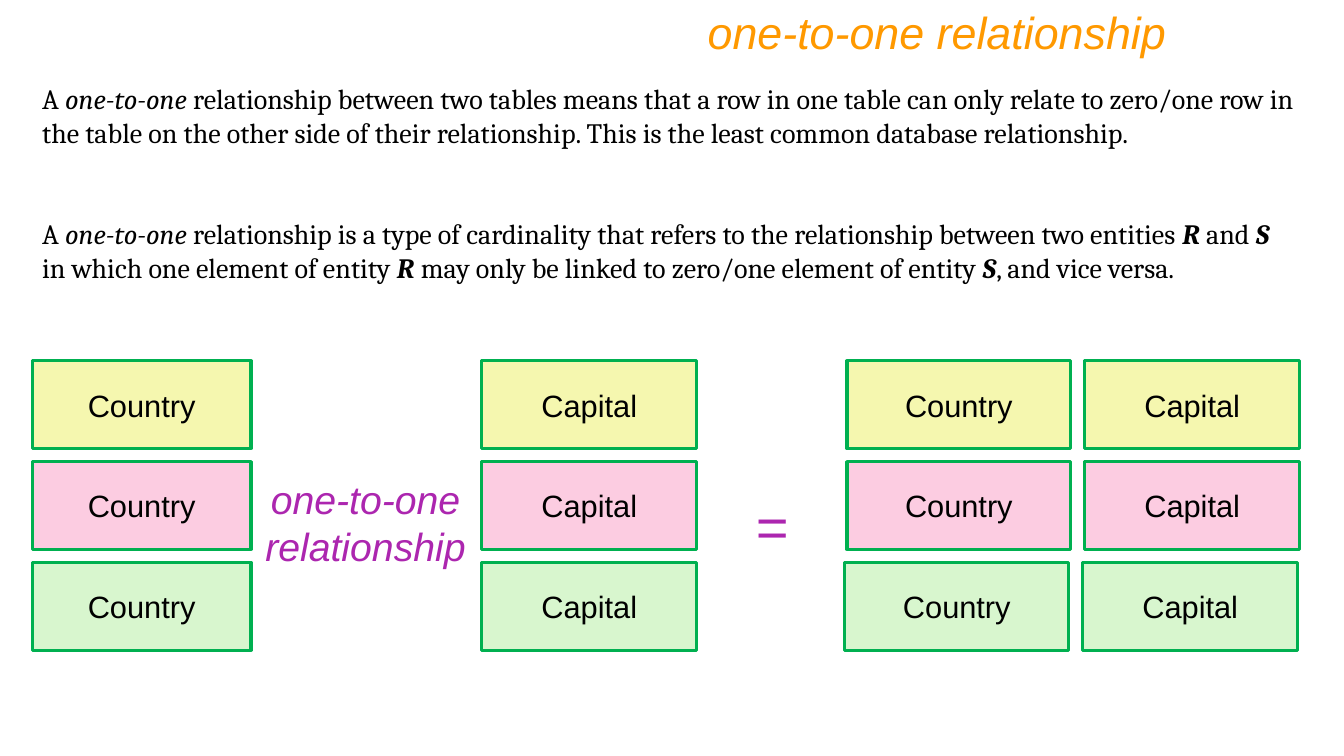
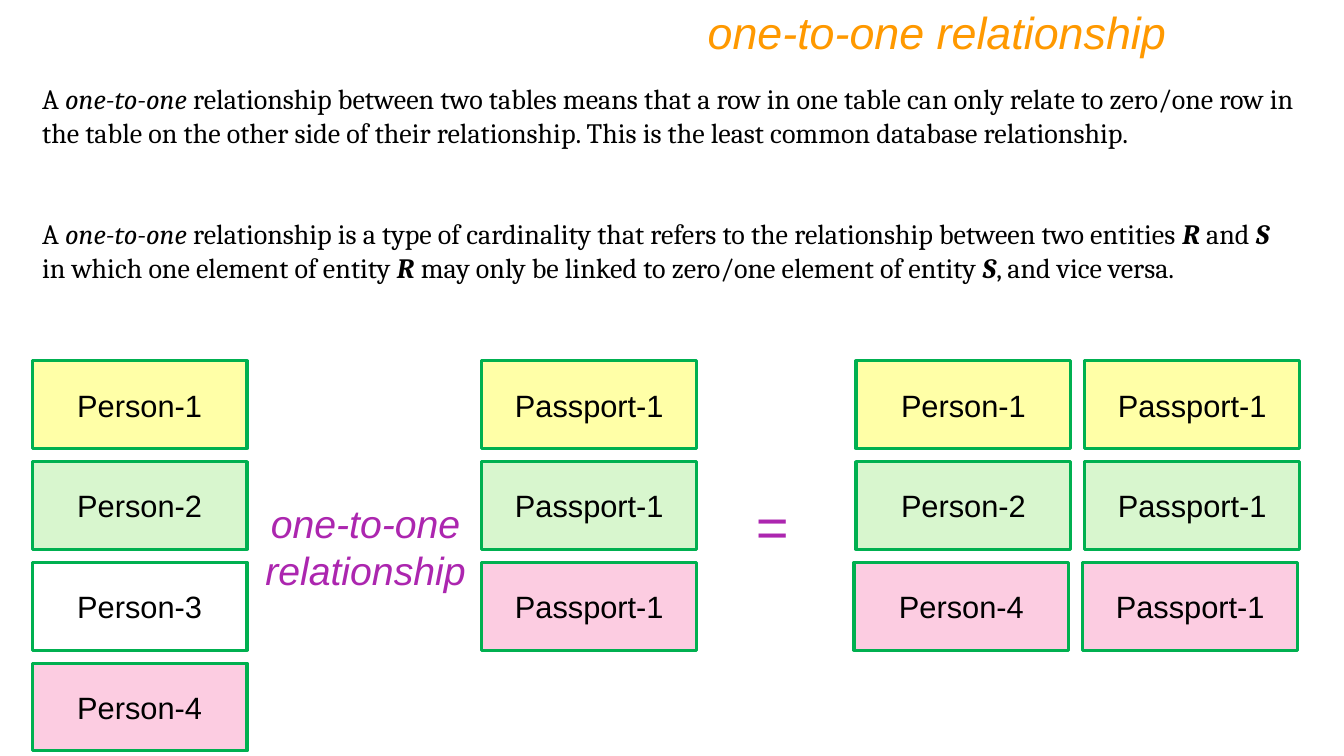
from pptx import Presentation
from pptx.dml.color import RGBColor
from pptx.enum.shapes import MSO_SHAPE
from pptx.enum.text import MSO_ANCHOR, MSO_AUTO_SIZE, PP_ALIGN
from pptx.util import Inches, Pt

RECT = MSO_SHAPE.RECTANGLE
TOP, MIDDLE = MSO_ANCHOR.TOP, MSO_ANCHOR.MIDDLE
LEFT, CENTER, RIGHT = PP_ALIGN.LEFT, PP_ALIGN.CENTER, PP_ALIGN.RIGHT
NO_FIT = MSO_AUTO_SIZE.NONE
TITLE_ONLY = 5

COLORS = {
    "title": "FF9900", "text": "000000", "accent": "AC26AF", "border": "00B050",
    "straw": "F5F7AF", "yellow": "FFFFA7", "pink": "FCCCE1", "green": "D8F6CE",
    "white": "FFFFFF",
}

# Grid of boxes: row tops and the left edges of the columns, in inches
ROW_TOP, ROW_STEP, BOX_H, BOX_W = 3.58, 1.0, 0.87, 2.13
LEFT_X, MIDDLE_X, RESULT_END, LAST_X = 0.32, 4.78, 10.62, 10.76
LAST_ROW_SHIFT = 0.02

# Paragraphs: top, width, runs with their style (i italic, b bold)
PARAGRAPHS = [
    (0.76, 12.65, [
        ("A ", ""), ("one-to-one", "i"),
        (" relationship between two tables means that a row in one table can only "
         "relate to zero/one row in the table on the other side of their "
         "relationship. This is the least common database relationship.", "")]),
    (2.1, 12.41, [
        ("A ", ""), ("one-to-one", "i"),
        (" relationship is a type of cardinality that refers to the relationship "
         "between two entities ", ""),
        ("R", "bi"), (" and ", ""), ("S", "bi"),
        (" in which one element of entity ", ""), ("R", "bi"),
        (" may only be linked to zero/one element of entity ", ""), ("S", "bi"),
        (", and vice versa.", "")]),
]

# Each slide: widths of the entity columns, top of the label, boxes of the columns
SLIDES = [
    {"left_w": 2.17, "result_w": 2.22, "label_top": 4.67,
     "left": [("Country", c) for c in ("straw", "pink", "green")],
     "right": [("Capital", c) for c in ("straw", "pink", "green")],
     "result": [("Country", c) for c in ("straw", "pink", "green")]},
    {"left_w": BOX_W, "result_w": BOX_W, "label_top": 4.9,
     "left": [("Person-1", "yellow"), ("Person-2", "green"),
              ("Person-3", "white"), ("Person-4", "pink")],
     "right": [("Passport-1", c) for c in ("yellow", "green", "pink")],
     "result": [("Person-1", "yellow"), ("Person-2", "green"), ("Person-4", "pink")]},
]


def write(sp, runs, size, color, align, font="Arial", anchor=TOP):
    tf = sp.text_frame
    tf.word_wrap = True
    tf.auto_size = NO_FIT
    tf.vertical_anchor = anchor
    p = tf.paragraphs[0]
    p.alignment = align
    for text, style in runs:
        r = p.add_run()
        r.text = text
        r.font.name = font
        r.font.size = Pt(size)
        r.font.bold = "b" in style
        r.font.italic = "i" in style
        r.font.color.rgb = RGBColor.from_string(COLORS[color])


def add_text(s, x, y, w, h, *args, **kwargs):
    sp = s.shapes.add_textbox(Inches(x), Inches(y), Inches(w), Inches(h))
    write(sp, *args, **kwargs)


prs = Presentation()
prs.slide_width, prs.slide_height = Inches(13.33), Inches(7.5)

for data in SLIDES:
    s = prs.slides.add_slide(prs.slide_layouts[TITLE_ONLY])

    # Title
    title = s.shapes.title
    title.left, title.top = Inches(1.67), Inches(0)
    title.width, title.height = Inches(10), Inches(0.64)
    write(title, [("one-to-one relationship", "i")], 32, "title", RIGHT)

    # Definitions
    for top, width, runs in PARAGRAPHS:
        add_text(s, LEFT_X, top, width, 1.11, runs, 20, "text", LEFT, font="Cambria")

    # Columns of boxes: two entities, then the joined pairs
    columns = [
        (LEFT_X, data["left_w"], data["left"], 0),
        (MIDDLE_X, BOX_W, data["right"], 0),
        (RESULT_END - data["result_w"], data["result_w"], data["result"], LAST_ROW_SHIFT),
        (LAST_X, BOX_W, data["right"], LAST_ROW_SHIFT),
    ]
    for x, width, boxes, shift in columns:
        for row, (name, fill) in enumerate(boxes):
            box_x = x - shift if row == 2 else x
            sp = s.shapes.add_shape(RECT, Inches(box_x), Inches(ROW_TOP + row * ROW_STEP),
                                    Inches(width), Inches(BOX_H))
            sp.shadow.inherit = False
            sp.fill.solid()
            sp.fill.fore_color.rgb = RGBColor.from_string(COLORS[fill])
            sp.line.color.rgb = RGBColor.from_string(COLORS["border"])
            sp.line.width = Pt(2.25)
            write(sp, [(name, "")], 22, "text", CENTER, anchor=MIDDLE)

    # Label between the entities and the equals sign
    add_text(s, 2.51, data["label_top"], 2.23, 1.04,
             [("one-to-one relationship", "i")], 28, "accent", CENTER)
    add_text(s, 7.38, 4.83, 0.55, 0.77, [("=", "i")], 40, "accent", CENTER)

prs.save("out.pptx")
